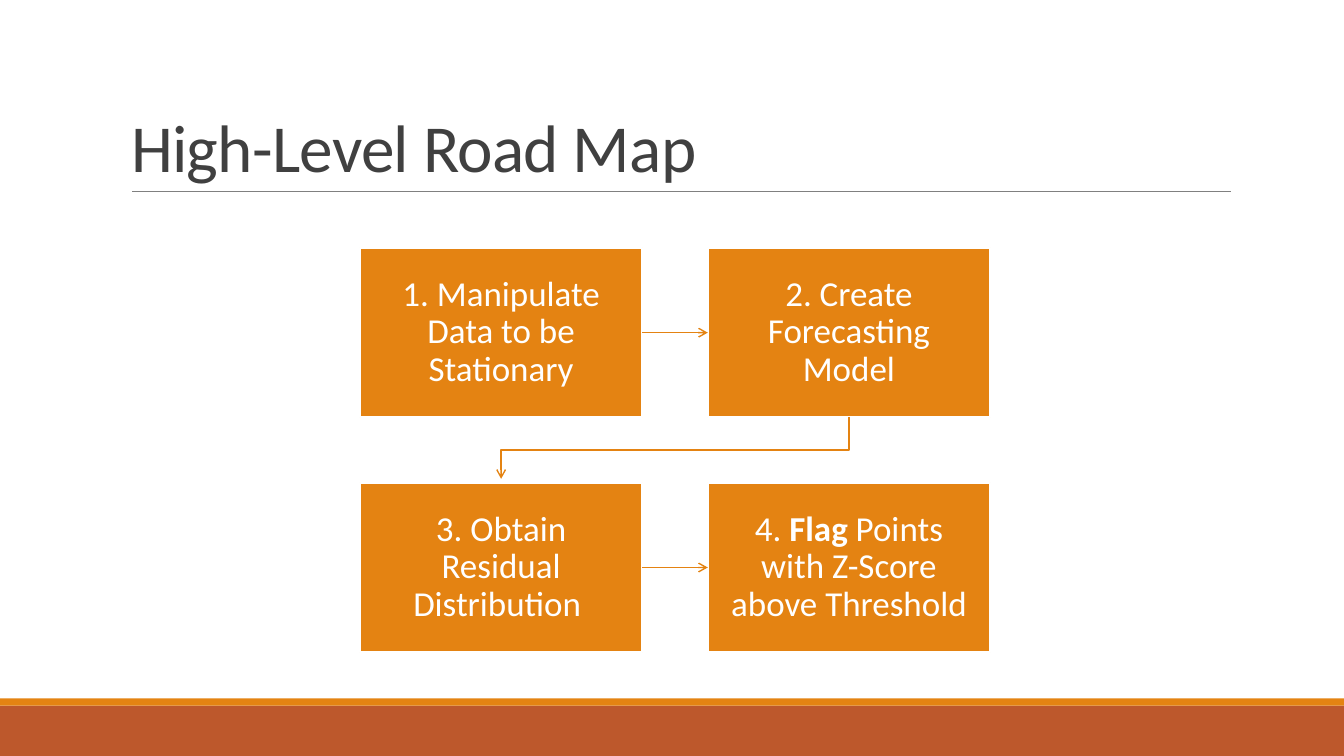
import pptx
import pptx.util
import pptx.dml.color
import pptx.enum.shapes
import pptx.enum.text
import pptx.oxml
import pptx.oxml.ns

Inches = pptx.util.Inches
Pt = pptx.util.Pt
RGBColor = pptx.dml.color.RGBColor
SHAPE = pptx.enum.shapes.MSO_SHAPE
LINK = pptx.enum.shapes.MSO_CONNECTOR
ALIGN = pptx.enum.text.PP_ALIGN
ANCHOR = pptx.enum.text.MSO_ANCHOR

ORANGE = RGBColor(0xE4, 0x83, 0x12)
RUST = RGBColor(0xBD, 0x58, 0x2C)
GRAY = RGBColor(0x80, 0x80, 0x80)
DARK = RGBColor(0x40, 0x40, 0x40)
WHITE = RGBColor(0xFF, 0xFF, 0xFF)

WIDE, HIGH = 13.33, 7.5

# Each step is a list of (text, bold) runs
STEPS = [
    [("1. Manipulate Data to be Stationary", False)],
    [("2. Create Forecasting Model", False)],
    [("3. Obtain Residual Distribution ", False)],
    [("4. ", False), ("Flag ", True),
     ("Points with Z-Score above Threshold", False)],
]


def write(shape, runs, size, color, align, anchor, inset, lead, track=0):
    """Fill a shape with one paragraph of formatted runs."""
    frame = shape.text_frame
    frame.word_wrap = True
    frame.auto_size = pptx.enum.text.MSO_AUTO_SIZE.NONE
    frame.vertical_anchor = anchor
    frame.margin_left = frame.margin_right = Inches(inset[0])
    frame.margin_top = frame.margin_bottom = Inches(inset[1])
    para = frame.paragraphs[0]
    para.alignment = align
    para.line_spacing = lead
    for text, bold in runs:
        run = para.add_run()
        run.text = text
        font = run.font
        font.name, font.size, font.bold = "Calibri", Pt(size), bold
        font.color.rgb = color
        if track:
            font._element.set("spc", str(track))


def block(slide, box, fill, edge=None):
    """Draw a filled rectangle."""
    rect = slide.shapes.add_shape(SHAPE.RECTANGLE, *map(Inches, box))
    rect.shadow.inherit = False
    rect.fill.solid()
    rect.fill.fore_color.rgb = fill
    if edge is None:
        rect.line.fill.background()
    else:
        rect.line.color.rgb = edge
        rect.line.width = Pt(1.25)
    return rect


def stroke(shape, color, width, arrow=False):
    """Style a line, with an open arrowhead at its end if asked."""
    shape.line.color.rgb = color
    shape.line.width = Pt(width)
    if arrow:
        tail = pptx.oxml.parse_xml(
            '<a:tailEnd %s type="arrow"/>' % pptx.oxml.ns.nsdecls("a"))
        shape.line._get_or_add_ln().append(tail)


def link(slide, start, end):
    """Draw a straight connector without a shadow."""
    line = slide.shapes.add_connector(
        LINK.STRAIGHT, *map(Inches, start + end))
    line._element.spPr.append(pptx.oxml.parse_xml(
        '<a:effectLst %s/>' % pptx.oxml.ns.nsdecls("a")))
    return line


def footer(slide, left, top, width, height):
    """Two colour bands along the bottom edge."""
    thin = 0.07
    block(slide, (left, top + thin, width, height - thin), RUST)
    block(slide, (left, top, width, thin), ORANGE)


def header(slide, left, top, width, height):
    """Title with a thin rule under it."""
    title = slide.shapes.title
    title.left, title.top = Inches(left), Inches(top)
    title.width, title.height = Inches(width), Inches(height)
    write(title, [("High-Level Road Map", False)], size=48, color=DARK,
          align=ALIGN.LEFT, anchor=ANCHOR.BOTTOM, inset=(0.1, 0.05),
          lead=0.85, track=-50)
    base = top + height
    rule = link(slide, (left + 0.11, base), (left + width + 0.01, base))
    stroke(rule, GRAY, 0.5)


def roadmap(slide, left, top, width, height):
    """Two rows of two steps, read left to right and joined by arrows."""
    wide, high = 2.8, 1.68
    across, down = width - wide, height - high
    rects = []
    for i, runs in enumerate(STEPS):
        row, col = divmod(i, 2)
        box = (left + col * across, top + row * down, wide, high)
        rect = block(slide, box, ORANGE, WHITE)
        write(rect, runs, size=25, color=WHITE, align=ALIGN.CENTER,
              anchor=ANCHOR.MIDDLE, inset=(0.19, 0.19), lead=0.9)
        rects.append(rect)

    # Arrows within each row
    for row in range(2):
        mid = top + row * down + high / 2
        arrow = link(slide, (left + wide, mid), (left + across, mid))
        arrow.begin_connect(rects[2 * row], 3)
        arrow.end_connect(rects[2 * row + 1], 2 - 1)
        stroke(arrow, ORANGE, 1, arrow=True)

    # Bent arrow from step 2 down to step 3
    near, far = left + wide / 2, left + across + wide / 2
    start, end = top + high, top + down - 0.04
    turn = (top + high + top + down) / 2
    pen = slide.shapes.build_freeform(
        Inches(far), Inches(start), scale=1.0)
    pen.add_line_segments(
        [(Inches(x), Inches(y))
         for x, y in ((far, turn), (near, turn), (near, end))],
        close=False)
    bend = pen.convert_to_shape()
    bend.shadow.inherit = False
    bend.fill.background()
    stroke(bend, ORANGE, 1, arrow=True)


def main():
    deck = pptx.Presentation()
    deck.slide_width, deck.slide_height = Inches(WIDE), Inches(HIGH)
    slide = deck.slides.add_slide(deck.slide_layouts[5])
    footer(slide, 0, 6.93, WIDE, HIGH - 6.93)
    header(slide, 1.2, 0.31, 11, 1.59)
    roadmap(slide, 3.57, 2.46, 6.25, 4.01)
    deck.save("out.pptx")


if __name__ == "__main__":
    main()
